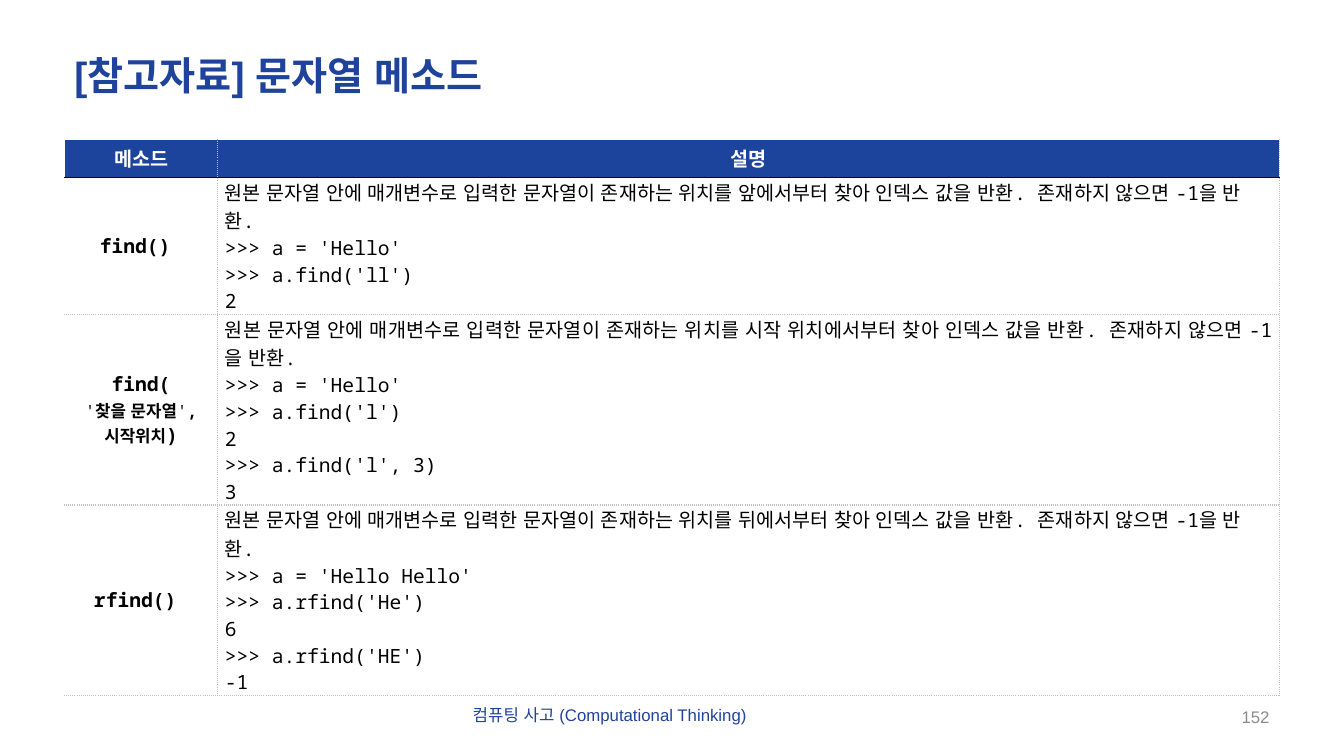
from dataclasses import dataclass

from lxml import etree
from pptx import Presentation
from pptx.dml.color import RGBColor
from pptx.enum.lang import MSO_LANGUAGE_ID
from pptx.enum.text import MSO_ANCHOR, PP_ALIGN
from pptx.oxml.ns import qn
from pptx.util import Inches, Pt

LEFT, CENTER = PP_ALIGN.LEFT, PP_ALIGN.CENTER
RIGHT, JUSTIFY = PP_ALIGN.RIGHT, PP_ALIGN.JUSTIFY
TOP, MIDDLE = MSO_ANCHOR.TOP, MSO_ANCHOR.MIDDLE
KOREAN = MSO_LANGUAGE_ID.KOREAN
WHITE, BLACK, GREY, BLUE = "FFFFFF", "000000", "BFBFBF", "1D449C"
MONO = "Noto Sans Mono"
BREAK = "\n"
NBSP = chr(160)


@dataclass
class Label:
    text: str
    at: tuple
    fmt: dict
    align: int = LEFT
    anchor: int = TOP
    wrap: bool = True
    spacing: float = 1.0


@dataclass
class Method:
    name: list  # (text, size, bold) for each run
    height: float
    start: str
    code: list
    about_align: int = LEFT
    code_align: int = JUSTIFY
    about_end: str = NBSP


LABELS = [
    Label("152", (9.69, 6.98, 3, 0.26), dict(size=12, color="8C8C8C"),
          RIGHT, MIDDLE),
    Label("컴퓨팅 사고 (Computational Thinking)", (4.59, 6.94, 3.27, 0.3),
          dict(size=12, color="21439B"), wrap=False),
    Label("[참고자료] 문자열 메소드", (0.64, 0.51, 12.05, 0.53),
          dict(size=28, color="1F439B", bold=True), anchor=MIDDLE, spacing=0.9),
]
ABOUT = ("원본 문자열 안에 매개변수로 입력한 문자열이 존재하는 위치를 {} 찾아 "
         "인덱스 값을 반환. 존재하지 않으면 -1을 반환.")
HEADINGS = ["메소드", "설명"]
HEADING_HEIGHT = 0.38
COL_WIDTHS = [1.52, 10.53]
METHODS = [
    Method([("find() ", 14, True)], 1.36, "앞에서부터",
           [">>> a = 'Hello'", ">>> a.find('ll')", "2"]),
    Method([("find(", 14, True), (BREAK, 14, True), ("'", 12, False),
            ("찾을 문자열", 12, True), ("'", 12, False),
            (", 시작위치", 12, True), (")", 14, True)],
           1.89, "시작 위치에서부터",
           [">>> a = 'Hello'", ">>> a.find('l')", "2", ">>> a.find('l', 3)", "3"],
           about_align=JUSTIFY, about_end=""),
    Method([("rfind() ", 14, True)], 1.89, "뒤에서부터",
           [">>> a = 'Hello Hello'", ">>> a.rfind('He')", "6",
            ">>> a.rfind('HE')", "-1"], code_align=LEFT),
]


def rgb(color: str) -> RGBColor:
    return RGBColor.from_string(color)


def add_run(p, text: str, size: float, color: str, font: str = "Arial",
            bold: bool = False) -> None:
    if text == BREAK:
        p.add_line_break()
        return
    r = p.add_run()
    r.text = text
    fmt = dict(name=font, size=Pt(size), bold=bold, language_id=KOREAN)
    for key, value in fmt.items():
        setattr(r.font, key, value)
    r.font.color.rgb = rgb(color)
    r._r.get_or_add_rPr().set("kern", "0")  # no pair kerning


def add_label(s, label: Label) -> None:
    tf = s.shapes.add_textbox(*map(Inches, label.at)).text_frame
    tf.word_wrap, tf.vertical_anchor = label.wrap, label.anchor
    p = tf.paragraphs[0]
    p.alignment, p.line_spacing = label.align, label.spacing
    add_run(p, label.text, **label.fmt)


def set_border(cell, side: str, color: str) -> None:
    ln = etree.SubElement(cell._tc.get_or_add_tcPr(), qn(f"a:ln{side}"), w="12700")
    fill = etree.SubElement(ln, qn("a:solidFill"))
    etree.SubElement(fill, qn("a:srgbClr"), val=color)
    dash = "sysDot" if color == GREY else "solid"
    etree.SubElement(ln, qn("a:prstDash"), val=dash)


def style_cell(cell, row: int, col: int) -> None:
    cell.vertical_anchor = MIDDLE
    if row > 0:
        margins = dict(left=0.07, top=0, right=0.07, bottom=0)
        for side, value in margins.items():
            setattr(cell, f"margin_{side}", Inches(value))
    borders = dict(L=GREY if col else WHITE, R=GREY,
                   T={0: WHITE, 1: BLACK}.get(row, GREY),
                   B=GREY if row else BLACK)
    for side, color in borders.items():
        set_border(cell, side, color)
    cell.fill.solid()
    cell.fill.fore_color.rgb = rgb(WHITE if row else BLUE)


def fill_method(name_cell, about_cell, method: Method) -> None:
    p = name_cell.text_frame.paragraphs[0]
    p.alignment = CENTER
    for text, size, bold in method.name:
        add_run(p, text, size, BLACK, MONO, bold)
    tf = about_cell.text_frame
    about = ABOUT.format(method.start) + method.about_end
    for i, line in enumerate([about, *method.code]):
        p = tf.add_paragraph() if i else tf.paragraphs[0]
        p.alignment = method.code_align if i else method.about_align
        add_run(p, line, 14, BLACK, MONO)


def add_method_table(s) -> None:
    heights = [HEADING_HEIGHT] + [m.height for m in METHODS]
    box = (0.64, 1.38, sum(COL_WIDTHS), sum(heights))
    table = s.shapes.add_table(len(heights), len(COL_WIDTHS),
                               *map(Inches, box)).table
    table.horz_banding = False
    for column, width in zip(table.columns, COL_WIDTHS):
        column.width = Inches(width)
    for i, height in enumerate(heights):
        table.rows[i].height = Inches(height)
        for j in range(len(COL_WIDTHS)):
            style_cell(table.cell(i, j), i, j)
    for j, heading in enumerate(HEADINGS):
        p = table.cell(0, j).text_frame.paragraphs[0]
        p.alignment = CENTER
        add_run(p, heading, 14, WHITE, "Calibri", True)
    for i, method in enumerate(METHODS, 1):
        fill_method(table.cell(i, 0), table.cell(i, 1), method)


def main() -> None:
    prs = Presentation()
    prs.slide_width, prs.slide_height = Inches(13.33), Inches(7.5)
    s = prs.slides.add_slide(prs.slide_layouts[6])
    # Page number, footer and title
    for label in LABELS:
        add_label(s, label)
    # Table of string methods
    add_method_table(s)
    prs.save("out.pptx")


if __name__ == "__main__":
    main()
